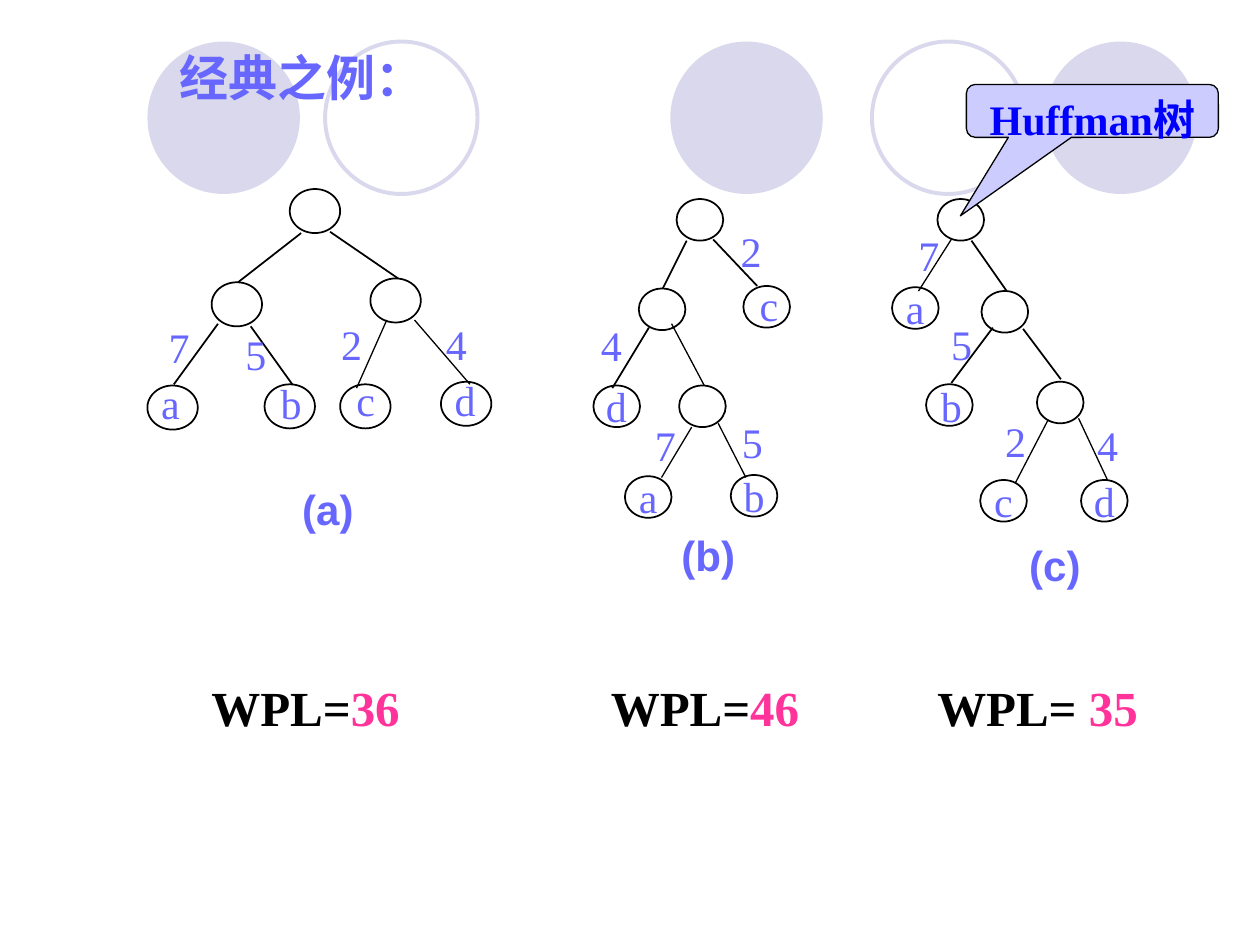
from lxml.etree import SubElement
from pptx import Presentation
from pptx.dml.color import RGBColor
from pptx.enum.shapes import MSO_CONNECTOR, MSO_SHAPE
from pptx.enum.text import MSO_ANCHOR, MSO_AUTO_SIZE, PP_ALIGN
from pptx.oxml.ns import qn
from pptx.util import Inches, Pt

VIOLET, LILAC, BLACK, PINK = "6767FF", "D9D8EC", "000000", "FF3399"
SERIF, SANS, CJK = "Times New Roman", "Arial", "Noto Sans CJK SC"

# Node: x, y, optional letter. Edge: x1, y1, x2, y2. Label: text, x, y.
# All lengths are inches from the top left corner of the tree's box.
TREES = [
    dict(
        box=(1.17, 1.5), size=(0.4, 0.35),
        nodes=[(1.13, 0), (0.51, 0.74), (1.77, 0.71), (0, 1.56),
               (0.93, 1.55), (1.53, 1.55), (2.33, 1.53)],
        edges=[(1.22, 0.35, 0.72, 0.74), (0.56, 1.07, 0.21, 1.55),
               (1.45, 0.34, 1.99, 0.71), (0.82, 1.09, 1.15, 1.55)],
        thin_edges=[(2.12, 1.04, 2.56, 1.55), (1.9, 1.04, 1.66, 1.58)],
        labels=[("a", 0.01, 1.45), ("b", 0.96, 1.45), ("c", 1.56, 1.42),
                ("d", 2.34, 1.42), ("7", 0.07, 1), ("5", 0.68, 1.06),
                ("2", 1.44, 0.98), ("4", 2.27, 0.98)],
        caption=("(a)", 1.13, 2.29),
    ),
    dict(
        box=(4.71, 1.58), size=(0.37, 0.33),
        nodes=[(0.66, 0), (0.36, 0.71), (1.19, 0.69), (0, 1.48),
               (0.68, 1.48), (0.25, 2.2, "a"), (1.09, 2.19, "b")],
        edges=[(0.74, 0.33, 0.55, 0.71), (0.44, 1.02, 0.15, 1.5),
               (0.95, 0.32, 1.3, 0.69)],
        thin_edges=[(0.62, 0.99, 0.88, 1.48), (0.78, 1.81, 0.54, 2.21),
                    (0.99, 1.78, 1.21, 2.21)],
        labels=[("c", 1.22, 0.59), ("d", 0, 1.39), ("2", 1.07, 0.16),
                ("4", -0.04, 0.91), ("5", 1.08, 1.68), ("7", 0.39, 1.7)],
        caption=("(b)", 0.6, 2.57),
    ),
    dict(
        box=(7.08, 1.58), size=(0.37, 0.33),
        nodes=[(0.36, 0), (0.71, 0.73), (0.27, 1.47), (1.15, 1.45),
               (0, 0.7, "a"), (0.7, 2.23, "c"), (1.5, 2.23, "d")],
        edges=[(0.8, 1.02, 0.47, 1.46), (0.63, 0.33, 0.91, 0.73),
               (1.04, 1.03, 1.34, 1.43)],
        thin_edges=[(1.48, 1.74, 1.71, 2.23), (1.24, 1.75, 0.98, 2.25),
                    (0.47, 0.32, 0.21, 0.73)],
        labels=[("b", 0.29, 1.39), ("7", 0.11, 0.19), ("5", 0.37, 0.9),
                ("2", 0.8, 1.67), ("4", 1.53, 1.7)],
        caption=("(c)", 0.99, 2.65),
    ),
]


def rgb(color):
    return RGBColor.from_string(color)


def write(sp, text, size=24, font=SERIF, color=VIOLET, bold=False, align=PP_ALIGN.LEFT):
    """Append one formatted run to the first paragraph of sp."""
    p = sp.text_frame.paragraphs[0]
    p.alignment = align
    r = p.add_run()
    r.text = text
    r.font.size, r.font.name, r.font.bold = Pt(size), font, bold
    r.font.color.rgb = rgb(color)
    SubElement(r._r.get_or_add_rPr(), qn("a:ea"), typeface=CJK)


def add_box(shapes, x, y, w, h, wrap=False):
    sp = shapes.add_textbox(Inches(x), Inches(y), Inches(w), Inches(h))
    sp.text_frame.word_wrap = wrap
    sp.text_frame.auto_size = MSO_AUTO_SIZE.SHAPE_TO_FIT_TEXT
    return sp


def add_outline(shapes, kind, x, y, w, h, fill=None, line=None, width=1):
    sp = shapes.add_shape(kind, Inches(x), Inches(y), Inches(w), Inches(h))
    sp.shadow.inherit = False
    if fill:
        sp.fill.solid()
        sp.fill.fore_color.rgb = rgb(fill)
    else:
        sp.fill.background()
    if line:
        sp.line.color.rgb = rgb(line)
        sp.line.width = Pt(width)
    else:
        sp.line.fill.background()
    return sp


def add_edge(shapes, x1, y1, x2, y2, width):
    edge = shapes.add_connector(MSO_CONNECTOR.STRAIGHT, Inches(x1), Inches(y1),
                                Inches(x2), Inches(y2))
    edge.line.color.rgb = rgb(BLACK)
    edge.line.width = Pt(width)
    SubElement(edge._element.spPr, qn("a:effectLst"))


def add_circles(s, top, size):
    for x in (5.32, 8.29, 1.17):
        add_outline(s.shapes, MSO_SHAPE.OVAL, x, top, size, size, fill=LILAC)
    for x in (6.92, 2.58):
        add_outline(s.shapes, MSO_SHAPE.OVAL, x, top, size, size, line=LILAC, width=2.25)


def add_tree(s, box, size, nodes, edges, thin_edges, labels, caption):
    left, top = box
    shapes = s.shapes.add_group_shape().shapes
    for x, y, *letter in nodes:
        sp = add_outline(shapes, MSO_SHAPE.OVAL, left + x, top + y, *size, line=BLACK)
        if letter:
            sp.text_frame.word_wrap = False
            sp.text_frame.vertical_anchor = MSO_ANCHOR.MIDDLE
            write(sp, letter[0], align=PP_ALIGN.CENTER)
    for width, group in ((1, edges), (0.75, thin_edges)):
        for x1, y1, x2, y2 in group:
            add_edge(shapes, left + x1, top + y1, left + x2, top + y2, width)
    for text, x, y in labels:
        w = 0.35 if text in "ac" else 0.37
        write(add_box(shapes, left + x, top + y, w, 0.5), text)
    text, x, y = caption
    write(add_box(shapes, left + x, top + y, 0.65, 0.5), text, font=SANS, bold=True)


def add_path_length(s, x, y, w, label, value):
    sp = add_box(s.shapes, x, y, w, 0.57, wrap=True)
    write(sp, label, size=28, color=BLACK, bold=True)
    write(sp, value, size=28, color=PINK, bold=True)


def add_callout(s, x, y, w, h):
    sp = add_outline(s.shapes, MSO_SHAPE.ROUNDED_RECTANGULAR_CALLOUT, x, y, w, h,
                     fill="CCCCFF", line=BLACK, width=0.75)
    for i, value in enumerate((-0.524, 1.983, 0.167)):
        sp.adjustments[i] = value
    sp.text_frame.word_wrap = True
    sp.text_frame.vertical_anchor = MSO_ANCHOR.TOP
    write(sp, "Huffman树", color="0000FF", bold=True, align=PP_ALIGN.CENTER)


def main():
    prs = Presentation()
    prs.slide_width, prs.slide_height = Inches(10), Inches(7.5)
    s = prs.slides.add_slide(prs.slide_layouts[6])
    add_circles(s, 0.33, 1.21)
    for tree in TREES:
        add_tree(s, **tree)
    title = add_box(s.shapes, 1.33, 0.33, 2.17, 0.57, wrap=True)
    write(title, "经典之例：", size=28, font=CJK, bold=True)
    add_path_length(s, 1.58, 5.33, 1.96, "WPL=", "36")
    add_path_length(s, 4.75, 5.33, 1.75, "WPL=", "46")
    add_path_length(s, 7.34, 5.33, 1.85, "WPL= ", "35")
    add_callout(s, 7.67, 0.67, 2, 0.42)
    prs.save("out.pptx")


if __name__ == "__main__":
    main()
